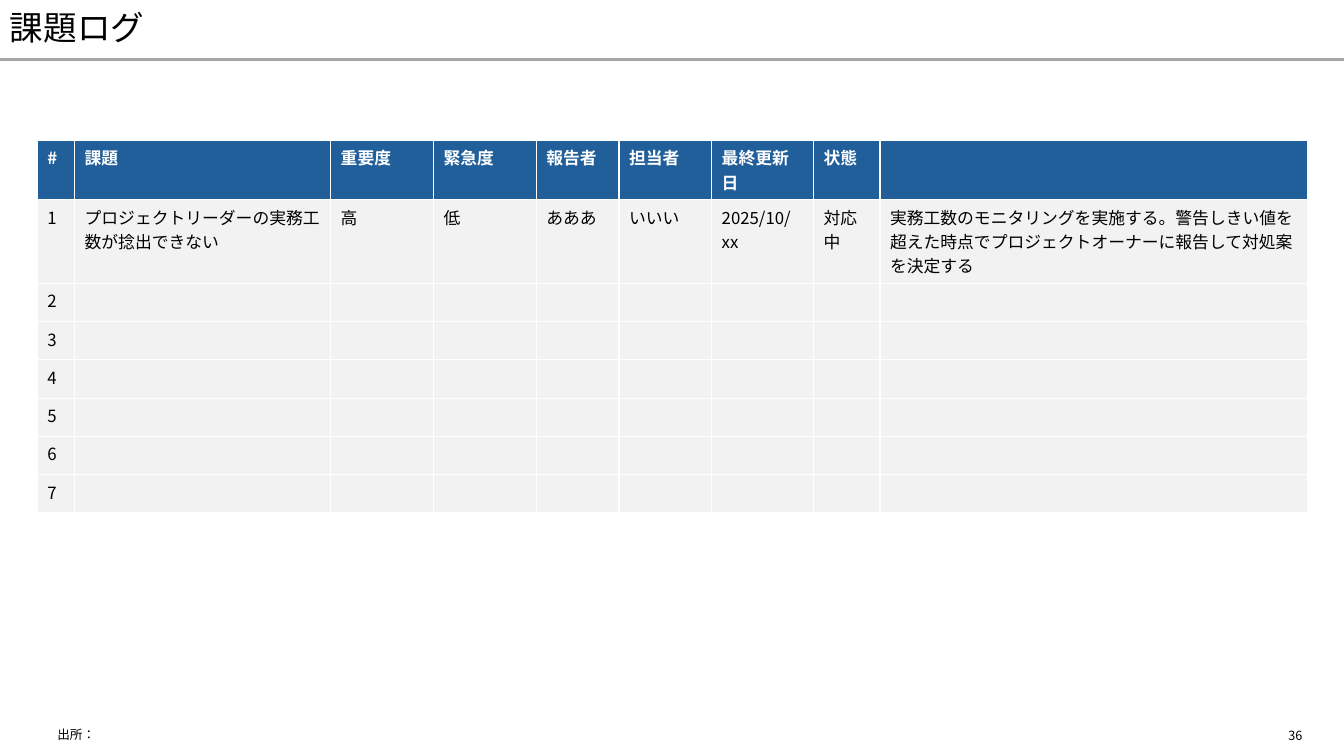
from lxml.etree import SubElement
from pptx import Presentation
from pptx.dml.color import RGBColor
from pptx.enum.lang import MSO_LANGUAGE_ID
from pptx.enum.shapes import MSO_CONNECTOR
from pptx.enum.text import MSO_ANCHOR
from pptx.oxml.ns import qn
from pptx.util import Inches, Pt

BLACK = RGBColor(0x00, 0x00, 0x00)
WHITE = RGBColor(0xFF, 0xFF, 0xFF)
GREY = RGBColor(0xA6, 0xA6, 0xA6)
PALE = RGBColor(0xF2, 0xF2, 0xF2)
BLUE = RGBColor(0x21, 0x5F, 0x9A)
FACE = "Noto Sans CJK JP"
WIDE, HIGH = Inches(13.33), Inches(7.5)

# Issue log: column widths and row heights in inches
COLS = [0.37, 2.54, 1.02, 1.02, 0.82, 0.92, 1.01, 0.66, 4.24]
ROWS = [0.59, 0.83] + [0.38] * 6
HEAD = ["#", "課題", "重要度", "緊急度", "報告者", "担当者",
        "最終更新日", "状態", ""]
ISSUE = ["1", "プロジェクトリーダーの実務工数が捻出できない", "高", "低",
         "あああ", "いいい", "2025/10/xx", "対応中",
         "実務工数のモニタリングを実施する。警告しきい値を超えた時点で"
         "プロジェクトオーナーに報告して対処案を決定する"]
BLANK = [""] * (len(COLS) - 1)
LOG = [HEAD, ISSUE] + [[str(n)] + BLANK for n in range(2, 8)]


def style(para, size, color=BLACK, bold=False):
    font = para.font
    font.size, font.bold, font.name = Pt(size), bold, FACE
    font.language_id = MSO_LANGUAGE_ID.JAPANESE
    font.color.rgb = color
    # East Asian face
    SubElement(font._element, qn("a:ea"), typeface=FACE)


def add_text(slide, box, text, size, anchor=MSO_ANCHOR.MIDDLE):
    frame = slide.shapes.add_textbox(*box).text_frame
    frame.word_wrap = True
    frame.vertical_anchor = anchor
    para = frame.paragraphs[0]
    para.text = text
    style(para, size)
    return para


def add_title(slide, box, text):
    left, top, width, height = box
    base = top + height
    rule = slide.shapes.add_connector(
        MSO_CONNECTOR.STRAIGHT, left, base, left + width, base)
    rule.line.color.rgb = GREY
    rule.line.width = Pt(2.25)
    SubElement(rule._element.spPr, qn("a:effectLst"))
    add_text(slide, box, text, 24).line_spacing = 0.9


def add_log(slide, box):
    table = slide.shapes.add_table(len(ROWS), len(COLS), *box).table
    table.horz_banding = False
    for col, width in zip(table.columns, COLS):
        col.width = Inches(width)
    for n, (row, height, texts) in enumerate(zip(table.rows, ROWS, LOG)):
        row.height = Inches(height)
        head = n == 0
        for cell, text in zip(row.cells, texts):
            cell.fill.solid()
            cell.fill.fore_color.rgb = BLUE if head else PALE
            para = cell.text_frame.paragraphs[0]
            if text:
                para.text = text
            style(para, 12, WHITE if head else BLACK, head)


def add_foot(slide, box, source, number):
    left, top, width, height = box
    add_text(slide, (left, top, Inches(11.02), height), source, 9)
    side = Inches(0.59)
    add_text(slide, (left + width - side, top, side, height), number, 9,
             MSO_ANCHOR.TOP)


def main():
    deck = Presentation()
    deck.slide_width, deck.slide_height = WIDE, HIGH
    slide = deck.slides.add_slide(deck.slide_layouts[6])
    add_title(slide, (0, 0, WIDE, Inches(0.59)), "課題ログ")
    add_foot(slide, (Inches(0.47), Inches(7.17), Inches(12.8), Inches(0.24)),
             "出所：", "36")
    add_log(slide, (Inches(0.37), Inches(1.39), Inches(sum(COLS)),
                    Inches(sum(ROWS))))
    deck.save("out.pptx")


if __name__ == "__main__":
    main()
